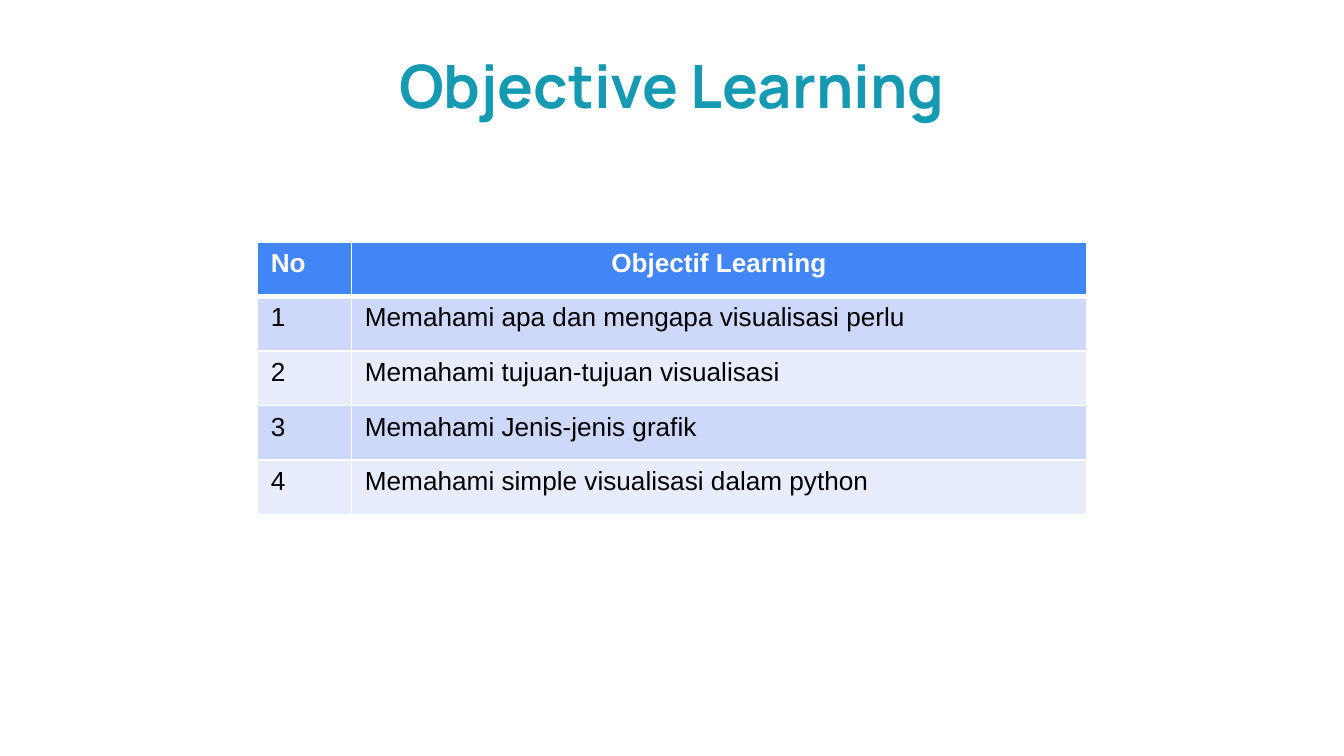
from dataclasses import dataclass

from lxml import etree
from pptx import Presentation
from pptx import util as u
from pptx.dml.color import RGBColor
from pptx.enum import text
from pptx.oxml import ns

WHITE = RGBColor(0xFF, 0xFF, 0xFF)
BLACK = RGBColor(0x00, 0x00, 0x00)
TEAL = RGBColor(0x15, 0x9A, 0xB1)
HEADER_BLUE = RGBColor(0x42, 0x85, 0xF4)
BAND_COLORS = (RGBColor(0xCD, 0xD8, 0xFB), RGBColor(0xE8, 0xED, 0xFD))

SLIDE_WIDTH = 10
SLIDE_HEIGHT = SLIDE_WIDTH * 9 / 16
COLUMN_WIDTHS = (0.7, 5.47)
TABLE_WIDTH = sum(COLUMN_WIDTHS)
TABLE_HEIGHT = 2.03
HEADINGS = ("No", "Objectif Learning")
OBJECTIVES = (
    "Memahami apa dan mengapa visualisasi perlu",
    "Memahami tujuan-tujuan visualisasi",
    "Memahami Jenis-jenis grafik",
    "Memahami simple visualisasi dalam python",
)
ROW_COUNT = len(OBJECTIVES) + 1


@dataclass(frozen=True)
class TextStyle:
    name: str
    size: int
    color: RGBColor
    bold: bool = False
    alignment: text.PP_ALIGN = text.PP_ALIGN.LEFT


TITLE = TextStyle("Manrope", 32, TEAL, True, text.PP_ALIGN.CENTER)
HEADER = TextStyle("Arial", 14, WHITE, True)
HEADER_CENTERED = TextStyle("Arial", 14, WHITE, True, text.PP_ALIGN.CENTER)
BODY = TextStyle("Arial", 14, BLACK)


def write(frame, content: str, style: TextStyle) -> None:
    paragraph = frame.paragraphs[0]
    paragraph.text = content
    paragraph.alignment = style.alignment
    font = paragraph.runs[0].font
    values = {"name": style.name, "size": u.Pt(style.size), "bold": style.bold}
    for attribute, value in values.items():
        setattr(font, attribute, value)
    font.color.rgb = style.color


def add_title(slide, content: str) -> None:
    shape = slide.shapes.add_textbox(
        u.Inches(2.26), u.Inches(0.32), u.Inches(5.48), u.Inches(0.5)
    )
    frame = shape.text_frame
    values = {
        "word_wrap": True,
        "margin_left": u.Inches(0.07),
        "margin_right": u.Inches(0.07),
        "margin_top": u.Inches(0.04),
        "margin_bottom": u.Inches(0.04),
        "vertical_anchor": text.MSO_ANCHOR.TOP,
    }
    for attribute, value in values.items():
        setattr(frame, attribute, value)
    write(frame, content, TITLE)


def set_borders(cell, widths: dict[str, int]) -> None:
    properties = cell._tc.get_or_add_tcPr()
    for position, (side, width) in enumerate(widths.items()):
        line = etree.Element(ns.qn(f"a:{side}"), w=str(u.Pt(width)))
        fill = etree.SubElement(line, ns.qn("a:solidFill"))
        etree.SubElement(fill, ns.qn("a:srgbClr"), val=str(WHITE))
        properties.insert(position, line)


def fill_row(table, row: int, contents: tuple[str, ...],
             styles: tuple[TextStyle, ...], color: RGBColor) -> None:
    table.rows[row].height = u.Inches(TABLE_HEIGHT / ROW_COUNT)
    widths = {
        "lnL": 1,
        "lnR": 1,
        "lnT": 3 if row == 1 else 1,
        "lnB": 3 if row == 0 else 1,
    }
    for column, (content, style) in enumerate(zip(contents, styles)):
        cell = table.cell(row, column)
        cell.fill.solid()
        cell.fill.fore_color.rgb = color
        write(cell.text_frame, content, style)
        set_borders(cell, widths)


def add_objectives_table(slide) -> None:
    left = (SLIDE_WIDTH - TABLE_WIDTH) / 2
    table = slide.shapes.add_table(
        ROW_COUNT, len(COLUMN_WIDTHS), u.Inches(left), u.Inches(1.8),
        u.Inches(TABLE_WIDTH), u.Inches(TABLE_HEIGHT),
    ).table
    for column, width in zip(table.columns, COLUMN_WIDTHS):
        column.width = u.Inches(width)
    fill_row(table, 0, HEADINGS, (HEADER, HEADER_CENTERED), HEADER_BLUE)
    for number, objective in enumerate(OBJECTIVES, start=1):
        color = BAND_COLORS[(number - 1) % len(BAND_COLORS)]
        fill_row(table, number, (str(number), objective), (BODY, BODY), color)


def main() -> None:
    presentation = Presentation()
    presentation.slide_width = u.Inches(SLIDE_WIDTH)
    presentation.slide_height = u.Inches(SLIDE_HEIGHT)
    slide = presentation.slides.add_slide(presentation.slide_layouts[6])
    add_title(slide, "Objective Learning")
    add_objectives_table(slide)
    presentation.save("out.pptx")


if __name__ == "__main__":
    main()
